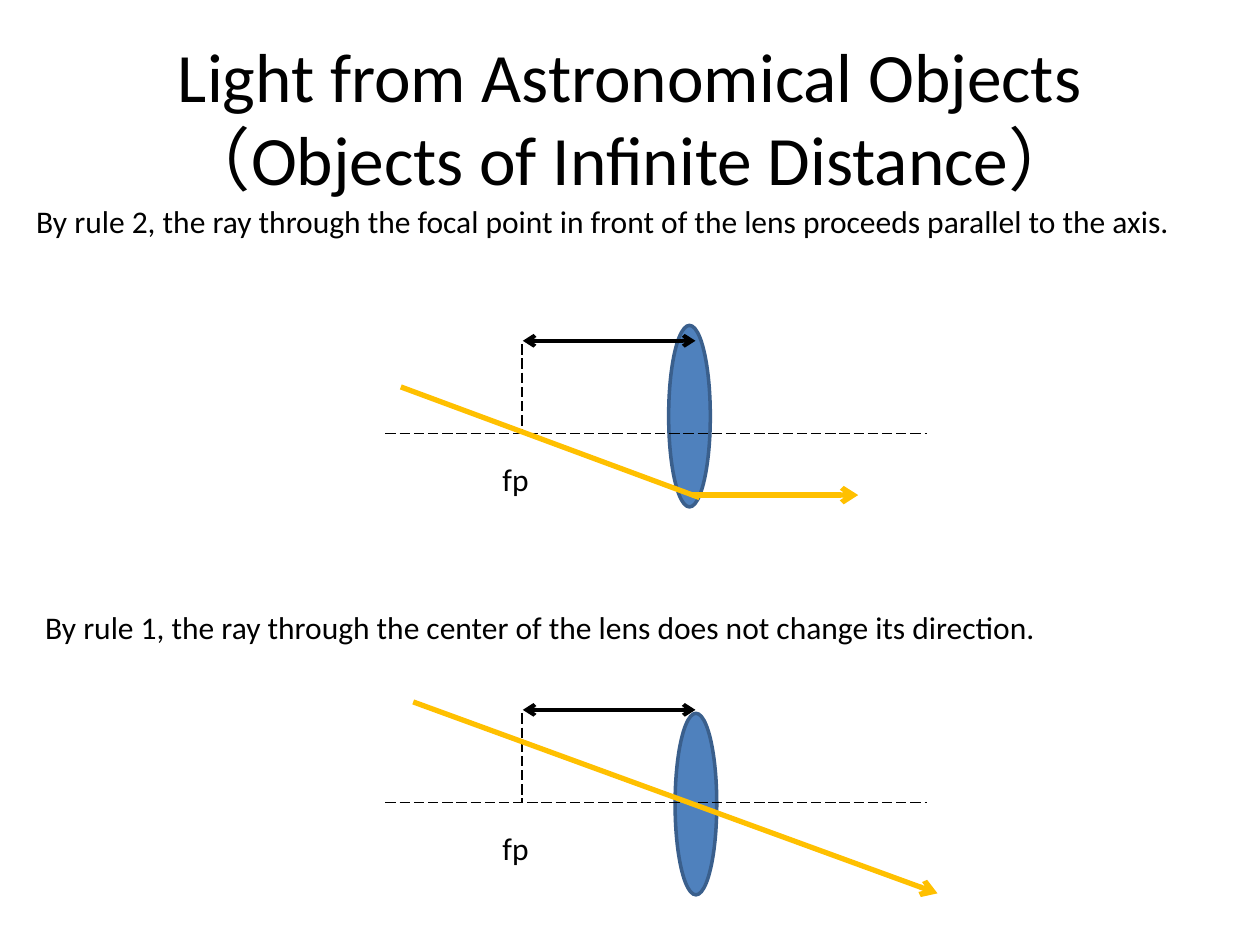
from dataclasses import dataclass

import pptx
import pptx.dml.color
import pptx.enum.dml
import pptx.enum.shapes
import pptx.enum.text
import pptx.oxml
import pptx.oxml.ns
import pptx.util
from pptx.util import Cm

BLACK = pptx.dml.color.RGBColor(0x00, 0x00, 0x00)
LENS_FILL = pptx.dml.color.RGBColor(0x4F, 0x81, 0xBD)
LENS_EDGE = pptx.dml.color.RGBColor(0x3A, 0x5F, 0x8C)
RAY_COLOR = pptx.dml.color.RGBColor(0xFF, 0xC0, 0x00)
FONT = "Calibri"


@dataclass
class Line:
    """A line in cm, with heights measured down from the optical axis."""
    x1: float
    y1: float
    x2: float
    y2: float
    color: pptx.dml.color.RGBColor = BLACK
    width: float = 0.75
    dashed: bool = False
    arrow_start: bool = False
    arrow_end: bool = False


@dataclass
class Label:
    text: str
    left: float
    top: float
    width: float
    height: float = 1.02
    size: float = 18
    wrap: bool = False


@dataclass
class Diagram:
    axis_y: float
    lens_left: float
    lens_top: float
    rays: list[Line]


# Lines shared by both diagrams: optical axis, focal length, focal point
COMMON_LINES = [
    Line(7.77, 0, 18.69, 0, dashed=True),
    Line(10.54, -1.87, 14.02, -1.87, width=2.25, arrow_start=True, arrow_end=True),
    Line(10.52, -1.8, 10.52, 0, dashed=True),
]

DIAGRAMS = [
    Diagram(8.74, 13.48, -2.18, [
        Line(8.08, -0.94, 14.1, 1.29, RAY_COLOR, 3),
        Line(13.94, 1.24, 17.3, 1.24, RAY_COLOR, 3, arrow_end=True),
    ]),
    Diagram(16.18, 13.61, -1.8, [
        Line(8.33, -2.03, 18.9, 1.83, RAY_COLOR, 3, arrow_end=True),
    ]),
]

CAPTIONS = [
    Label("By rule 2, the ray through the focal point in front of the lens "
          "proceeds parallel to the axis.", 0.48, 3.94, 24.43, wrap=True),
    Label("By rule 1, the ray through the center of the lens does not change "
          "its direction.", 0.66, 12.14, 20.57),
]


def draw_label(slide: pptx.slide.Slide, label: Label):
    shape = slide.shapes.add_textbox(
        Cm(label.left), Cm(label.top), Cm(label.width), Cm(label.height))
    shape.text_frame.text = label.text
    shape.text_frame.word_wrap = label.wrap
    for run in shape.text_frame.paragraphs[0].runs:
        run.font.name = FONT
        run.font.size = pptx.util.Pt(label.size)
        run.font.color.rgb = BLACK
    return shape


def draw_title(slide: pptx.slide.Slide) -> None:
    title = draw_label(slide, Label(
        "Light from Astronomical Objects\v（Objects of Infinite Distance）",
        1.27, 0.76, 22.86, 3.18, 39.6, True))
    title.text_frame.vertical_anchor = pptx.enum.text.MSO_ANCHOR.MIDDLE
    title.text_frame.paragraphs[0].alignment = pptx.enum.text.PP_ALIGN.CENTER


def draw_line(slide: pptx.slide.Slide, line: Line, axis_y: float) -> None:
    connector = slide.shapes.add_connector(
        pptx.enum.shapes.MSO_CONNECTOR.STRAIGHT,
        Cm(line.x1), Cm(axis_y + line.y1), Cm(line.x2), Cm(axis_y + line.y2))
    connector.line.color.rgb = line.color
    connector.line.width = pptx.util.Pt(line.width)
    if line.dashed:
        connector.line.dash_style = pptx.enum.dml.MSO_LINE.LONG_DASH
    # Arrowheads and shadow need XML
    properties = connector.line._get_or_add_ln()
    for wanted, tag in ((line.arrow_start, "a:headEnd"), (line.arrow_end, "a:tailEnd")):
        if wanted:
            end = pptx.oxml.parse_xml(f"<{tag} {pptx.oxml.ns.nsdecls('a')} type='arrow'/>")
            properties.append(end)
    connector._element.spPr.append(
        pptx.oxml.parse_xml(f"<a:effectLst {pptx.oxml.ns.nsdecls('a')}/>"))


def draw_lens(slide: pptx.slide.Slide, left: float, top: float) -> None:
    lens = slide.shapes.add_shape(
        pptx.enum.shapes.MSO_SHAPE.OVAL, Cm(left), Cm(top), Cm(0.84), Cm(3.66))
    lens.shadow.inherit = False
    lens.fill.solid()
    lens.fill.fore_color.rgb = LENS_FILL
    lens.line.color.rgb = LENS_EDGE
    lens.line.width = pptx.util.Pt(2)


def draw_diagram(slide: pptx.slide.Slide, diagram: Diagram) -> None:
    draw_lens(slide, diagram.lens_left, diagram.axis_y + diagram.lens_top)
    for line in COMMON_LINES + diagram.rays:
        draw_line(slide, line, diagram.axis_y)
    draw_label(slide, Label("fp", 9.88, diagram.axis_y + 0.41, 1.04))


def main() -> None:
    presentation = pptx.Presentation()
    presentation.slide_width = Cm(25.4)
    presentation.slide_height = Cm(19.05)
    slide = presentation.slides.add_slide(presentation.slide_layouts[6])

    draw_title(slide)
    for caption, diagram in zip(CAPTIONS, DIAGRAMS):
        draw_label(slide, caption)
        draw_diagram(slide, diagram)

    presentation.save("out.pptx")


if __name__ == "__main__":
    main()
